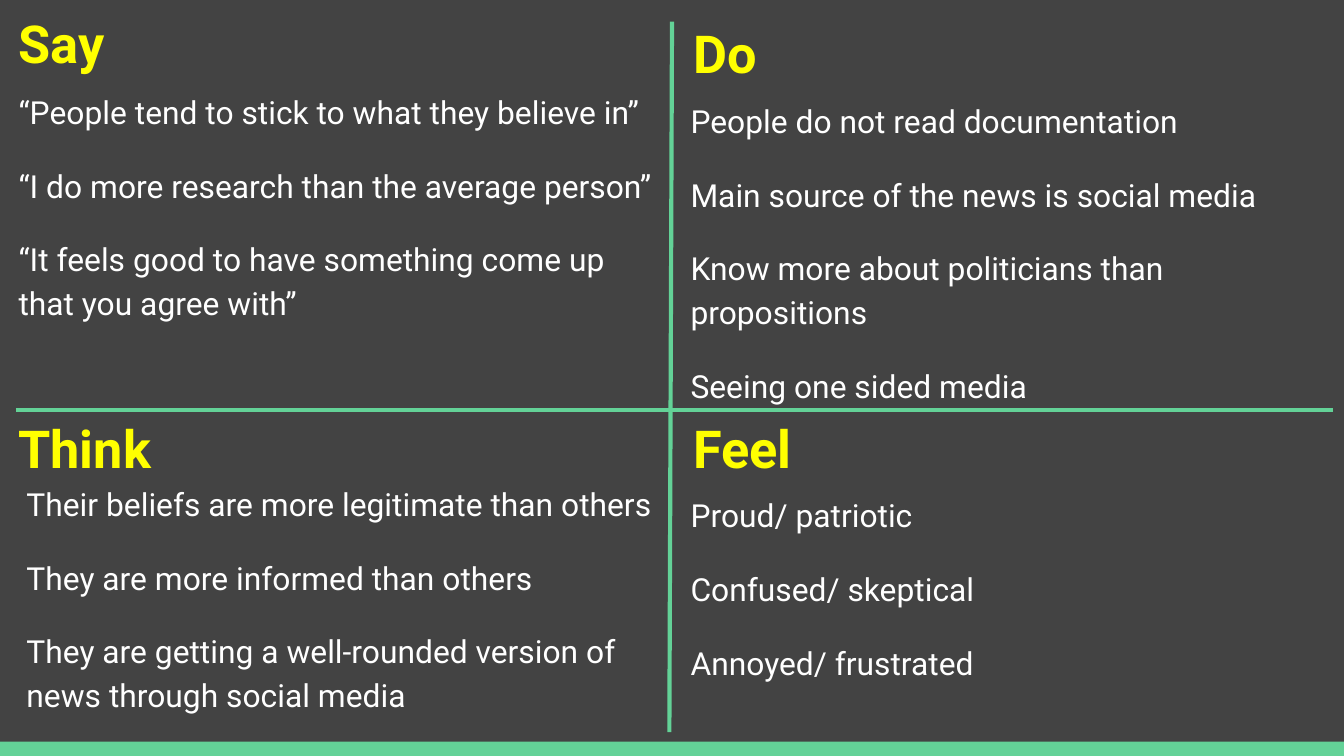
from dataclasses import dataclass

import pptx
import pptx.dml.color
import pptx.enum.shapes
import pptx.enum.text
import pptx.oxml.ns
import pptx.util
from lxml import etree

Cm = pptx.util.Cm
Pt = pptx.util.Pt

BACKGROUND = "434343"
GREEN = "63D297"
YELLOW = "FFFF00"
WHITE = "FFFFFF"
FONT = "Roboto"
HEADING_HEIGHT = 1.6
LIST_WIDTH = 12.6


@dataclass
class Quadrant:
    """One field of the empathy map; lengths in centimetres."""
    heading: str
    heading_left: float
    heading_top: float
    heading_width: float
    list_left: float
    list_top: float
    list_height: float
    items: list[str]


@dataclass
class Divider:
    start: tuple[float, float]
    end: tuple[float, float]


QUADRANTS = [
    Quadrant("Say", 0.1, -0.03, 10.92, 0.1, 1.4, 5.46, [
        "“People tend to stick to what they believe in”",
        "“I do more research than the average person”",
        "“It feels good to have something come up that you agree with”",
    ]),
    Quadrant("Do", 12.85, 0.15, 10.31, 12.8, 1.57, 6.05, [
        "People do not read documentation",
        "Main source of the news is social media",
        "Know more about politicians than propositions",
        "Seeing one sided media",
    ]),
    Quadrant("Think", 0.1, 7.62, 7.49, 0.25, 8.81, 5.21, [
        "Their beliefs are more legitimate than others",
        "They are more informed than others",
        "They are getting a well-rounded version of news through social media",
    ]),
    Quadrant("Feel", 12.85, 7.62, 6.35, 12.8, 9.02, 5.21, [
        "Proud/ patriotic",
        "Confused/ skeptical",
        "Annoyed/ frustrated",
    ]),
]

DIVIDERS = [
    Divider((12.7, 0.41), (12.65, 13.84)),
    Divider((0.3, 7.75), (25.2, 7.75)),
]


def color(value: str) -> pptx.dml.color.RGBColor:
    return pptx.dml.color.RGBColor.from_string(value)


def place(shape, left: float, top: float, width: float, height: float) -> None:
    shape.left, shape.top = Cm(left), Cm(top)
    shape.width, shape.height = Cm(width), Cm(height)


def prepare_frame(shape):
    """Give the text frame equal insets, wrapping and top alignment."""
    frame = shape.text_frame
    frame.word_wrap = True
    frame.auto_size = pptx.enum.text.MSO_AUTO_SIZE.NONE
    frame.vertical_anchor = pptx.enum.text.MSO_ANCHOR.TOP
    frame.margin_left = frame.margin_right = Cm(0.25)
    frame.margin_top = frame.margin_bottom = Cm(0.25)
    return frame


def add_run(paragraph, text: str, size: float, text_color: str, bold: bool) -> None:
    paragraph.alignment = pptx.enum.text.PP_ALIGN.LEFT
    paragraph.space_before = Pt(0)
    run = paragraph.add_run()
    run.text = text
    run.font.name = FONT
    run.font.size = Pt(size)
    run.font.bold = bold
    run.font.color.rgb = color(text_color)


def remove_bullet(paragraph) -> None:
    properties = paragraph._p.get_or_add_pPr()
    properties.set("marL", "0")
    properties.set("indent", "0")
    etree.SubElement(properties, pptx.oxml.ns.qn("a:buNone"))


def fill_heading(shape, quadrant: Quadrant) -> None:
    place(shape, quadrant.heading_left, quadrant.heading_top,
          quadrant.heading_width, HEADING_HEIGHT)
    frame = prepare_frame(shape)
    add_run(frame.paragraphs[0], quadrant.heading, 28, YELLOW, True)


def fill_list(shape, quadrant: Quadrant) -> None:
    place(shape, quadrant.list_left, quadrant.list_top,
          LIST_WIDTH, quadrant.list_height)
    frame = prepare_frame(shape)
    for index, item in enumerate(quadrant.items):
        paragraph = frame.add_paragraph() if index else frame.paragraphs[0]
        remove_bullet(paragraph)
        paragraph.line_spacing = 1.15
        paragraph.space_after = Pt(16)
        add_run(paragraph, item, 17, WHITE, False)


def add_divider(slide, divider: Divider) -> None:
    line = slide.shapes.add_connector(
        pptx.enum.shapes.MSO_CONNECTOR.STRAIGHT,
        *map(Cm, divider.start + divider.end))
    line.line.color.rgb = color(GREEN)
    line.line.width = Pt(2.25)
    etree.SubElement(line._element.spPr, pptx.oxml.ns.qn("a:effectLst"))


def add_bottom_bar(slide) -> None:
    bar = slide.shapes.add_shape(
        pptx.enum.shapes.MSO_SHAPE.RECTANGLE,
        Cm(0), Cm(14.02), Cm(25.4), Cm(0.27))
    bar.shadow.inherit = False
    bar.fill.solid()
    bar.fill.fore_color.rgb = color(GREEN)
    bar.line.fill.background()


def main() -> None:
    presentation = pptx.Presentation()
    presentation.slide_width = Cm(25.4)
    presentation.slide_height = Cm(14.29)
    comparison_layout = presentation.slide_layouts[4]
    slide = presentation.slides.add_slide(comparison_layout)
    slide.background.fill.solid()
    slide.background.fill.fore_color.rgb = color(BACKGROUND)

    add_bottom_bar(slide)
    for divider in DIVIDERS:
        add_divider(slide, divider)

    # The layout has one title and four text placeholders.
    title, *lists = slide.placeholders
    for index, (quadrant, list_shape) in enumerate(zip(QUADRANTS, lists)):
        heading = slide.shapes.add_textbox(0, 0, 0, 0) if index else title
        fill_heading(heading, quadrant)
        fill_list(list_shape, quadrant)

    presentation.save("out.pptx")


if __name__ == "__main__":
    main()
